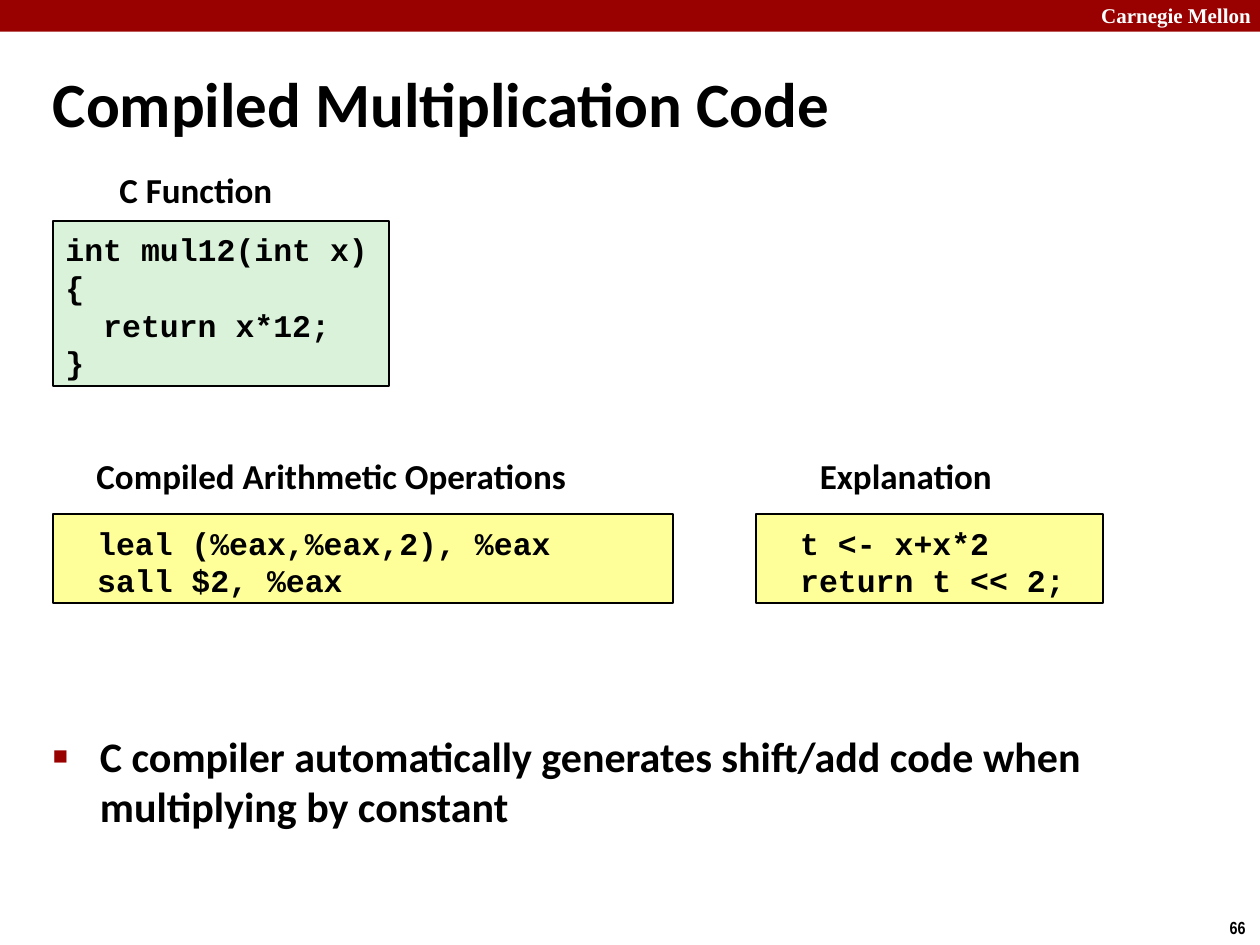
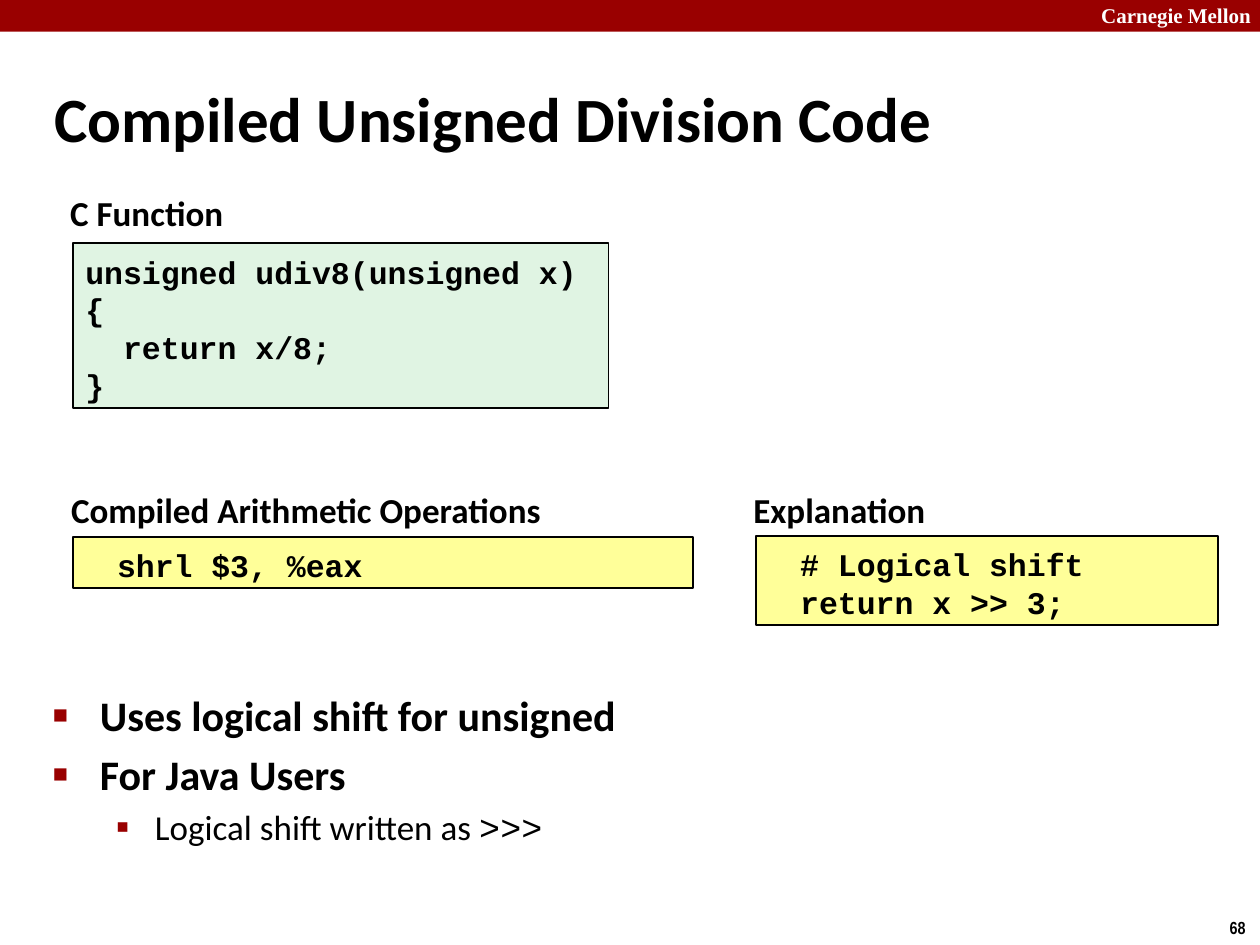
import pptx
import pptx.dml.color
import pptx.enum.shapes
import pptx.enum.text
import pptx.oxml.ns
import pptx.util
from lxml import etree

Cm = pptx.util.Cm
Pt = pptx.util.Pt
Color = pptx.dml.color.RGBColor
Text = pptx.enum.text

RED = Color(0x99, 0x00, 0x00)
BLACK = Color(0x00, 0x00, 0x00)
WHITE = Color(0xFF, 0xFF, 0xFF)
YELLOW = Color(0xFF, 0xFF, 0x99)
GREEN = Color(0xDB, 0xF2, 0xDA)
MINT = Color(0xE0, 0xF4, 0xE3)

SANS = "Calibri"
MONO = "Courier New"
LEVELS = [
    {"size": 24, "bold": True, "mark": "■", "scale": 60, "left": 0.95, "hang": 0.95},
    {"size": 20, "bold": False, "mark": "▪", "scale": 110, "left": 2.06, "hang": 0.79},
]
TABS = (0.64, 2.54)


def add_node(parent, tag, **attrs):
    node = etree.SubElement(parent, pptx.oxml.ns.qn(tag))
    for key, value in attrs.items():
        node.set(key, str(value))
    return node


class Deck:
    def __init__(self):
        self.file = pptx.Presentation()
        self.file.slide_width = Cm(25.4)
        self.file.slide_height = Cm(19.05)
        self.slide = None

    def start(self, page):
        self.slide = self.file.slides.add_slide(self.file.slide_layouts[1])
        self.rect(0, 0, 25.4, 0.64, RED)
        self.note("Carnegie Mellon", 21.95, -0.08, 3.63, 0.76, 12, "Times New Roman", WHITE)
        self.note(page, 24.54, 18.36, 0.86, 0.69, 10, "Arial Narrow")

    def style(self, runs, size, name=SANS, color=BLACK, bold=True):
        for run in runs:
            run.font.size = Pt(size)
            run.font.name = name
            run.font.bold = bold
            run.font.color.rgb = color

    def place(self, shape, left, top, width, height):
        shape.left, shape.top = Cm(left), Cm(top)
        shape.width, shape.height = Cm(width), Cm(height)
        shape.text_frame.auto_size = Text.MSO_AUTO_SIZE.NONE

    def rect(self, left, top, width, height, fill):
        shape = self.slide.shapes.add_shape(
            pptx.enum.shapes.MSO_SHAPE.RECTANGLE, Cm(left), Cm(top), Cm(width), Cm(height))
        shape.shadow.inherit = False
        shape.fill.solid()
        shape.fill.fore_color.rgb = fill
        shape.line.fill.background()
        return shape

    def note(self, text, left, top, width, height, size, name=SANS, color=BLACK):
        box = self.slide.shapes.add_textbox(Cm(left), Cm(top), Cm(width), Cm(height))
        frame = box.text_frame
        frame.word_wrap = False
        frame.text = text
        self.style(frame.paragraphs[0].runs, size, name, color)
        return frame

    def label(self, text, left, top, width):
        frame = self.note(text, left, top, width, 1.12, 20)
        frame.margin_left = frame.margin_right = Cm(0.13)
        frame.paragraphs[0].alignment = Text.PP_ALIGN.CENTER

    def title(self, text, left, top, width):
        shape = self.slide.shapes.title
        self.place(shape, left, top, width, 1.6)
        frame = shape.text_frame
        frame.vertical_anchor = Text.MSO_ANCHOR.MIDDLE
        frame.text = text
        frame.paragraphs[0].alignment = Text.PP_ALIGN.LEFT
        self.style(frame.paragraphs[0].runs, 36)

    def code(self, text, left, top, width, fill):
        count = len(text.split("\n"))
        shape = self.rect(left, top, width, 0.27 + 0.765 * count, fill)
        shape.line.color.rgb = BLACK
        shape.line.width = Pt(1)
        frame = shape.text_frame
        frame.word_wrap = True
        frame.vertical_anchor = Text.MSO_ANCHOR.TOP
        frame.margin_top, frame.margin_bottom = Cm(0.2), 0
        frame.text = text
        for para in frame.paragraphs:
            if "\t" in para.text:
                stops = add_node(para._p.get_or_add_pPr(), "a:tabLst")
                for stop in TABS:
                    add_node(stops, "a:tab", pos=Cm(stop), algn="l")
            para.alignment = Text.PP_ALIGN.LEFT
            para.line_spacing = Pt(21.5)
            self.style(para.runs, 18, MONO)

    def body(self, items, top):
        shape = self.slide.placeholders[1]
        self.place(shape, 0.81, top, 23.09, 3.3)
        frame = shape.text_frame
        frame.text = "\n".join(text for level, text in items)
        for index, (para, item) in enumerate(zip(frame.paragraphs, items)):
            look = LEVELS[item[0]]
            para.level = item[0]
            props = para._p.get_or_add_pPr()
            props.set("marL", str(Cm(look["left"])))
            props.set("indent", str(-Cm(look["hang"])))
            add_node(add_node(props, "a:buClr"), "a:srgbClr", val=RED)
            add_node(props, "a:buSzPct", val=look["scale"] * 1000)
            add_node(props, "a:buFont", typeface="Arial")
            add_node(props, "a:buChar", char=look["mark"])
            para.space_before = Pt(look["size"] * 0.2 if index else 0)
            self.style(para.runs, look["size"], bold=look["bold"])
        return frame.paragraphs[-1]

    def append(self, para, text, size):
        run = para.add_run()
        run.text = text
        self.style([run], size, MONO, bold=False)


def main():
    deck = Deck()

    deck.start("66")
    deck.title("Compiled Multiplication Code", 0.81, 1.27, 19.91)
    deck.label("C Function", 2.26, 3.28, 3.38)
    deck.code("int mul12(int x)\n{\n  return x*12;\n}", 1.07, 4.45, 6.78, GREEN)
    deck.label("Compiled Arithmetic Operations", 1.78, 9.04, 9.8)
    deck.code("\tleal\t(%eax,%eax,2), %eax\n\tsall\t$2, %eax", 1.07, 10.36, 12.5, YELLOW)
    deck.label("Explanation", 16.38, 9.04, 3.76)
    deck.code("\tt <- x+x*2\n\treturn t << 2;", 15.24, 10.36, 6.99, YELLOW)
    deck.body([(0, "C compiler automatically generates shift/add code when "
                   "multiplying by constant")], 14.6)

    deck.start("68")
    deck.title("Compiled Unsigned Division Code", 0.84, 1.57, 22.02)
    deck.label("C Function", 1.27, 3.73, 3.38)
    deck.code("unsigned udiv8(unsigned x)\n{\n  return x/8;\n}", 1.47, 4.9, 10.8, MINT)
    deck.label("Compiled Arithmetic Operations", 1.27, 9.73, 9.8)
    deck.code("\tshrl\t$3, %eax", 1.47, 10.82, 12.5, YELLOW)
    deck.label("Explanation", 15.04, 9.73, 3.76)
    deck.code("\t# Logical shift\n\treturn x >> 3;", 15.24, 10.8, 9.32, YELLOW)
    last = deck.body([(0, "Uses logical shift for unsigned"), (0, "For Java Users"),
                      (1, "Logical shift written as ")], 13.77)
    deck.append(last, ">>>", 20)

    deck.file.save("out.pptx")


if __name__ == "__main__":
    main()
